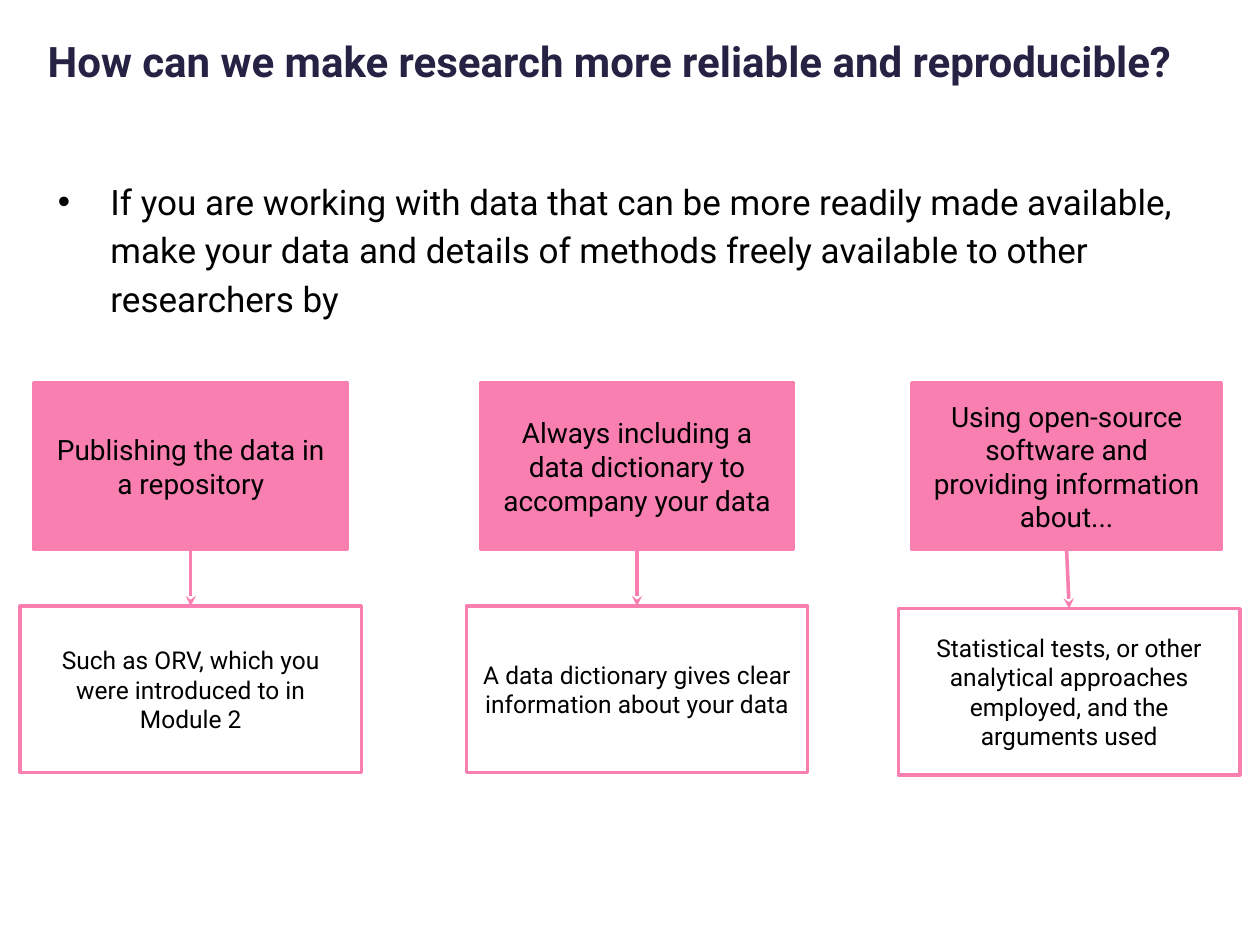
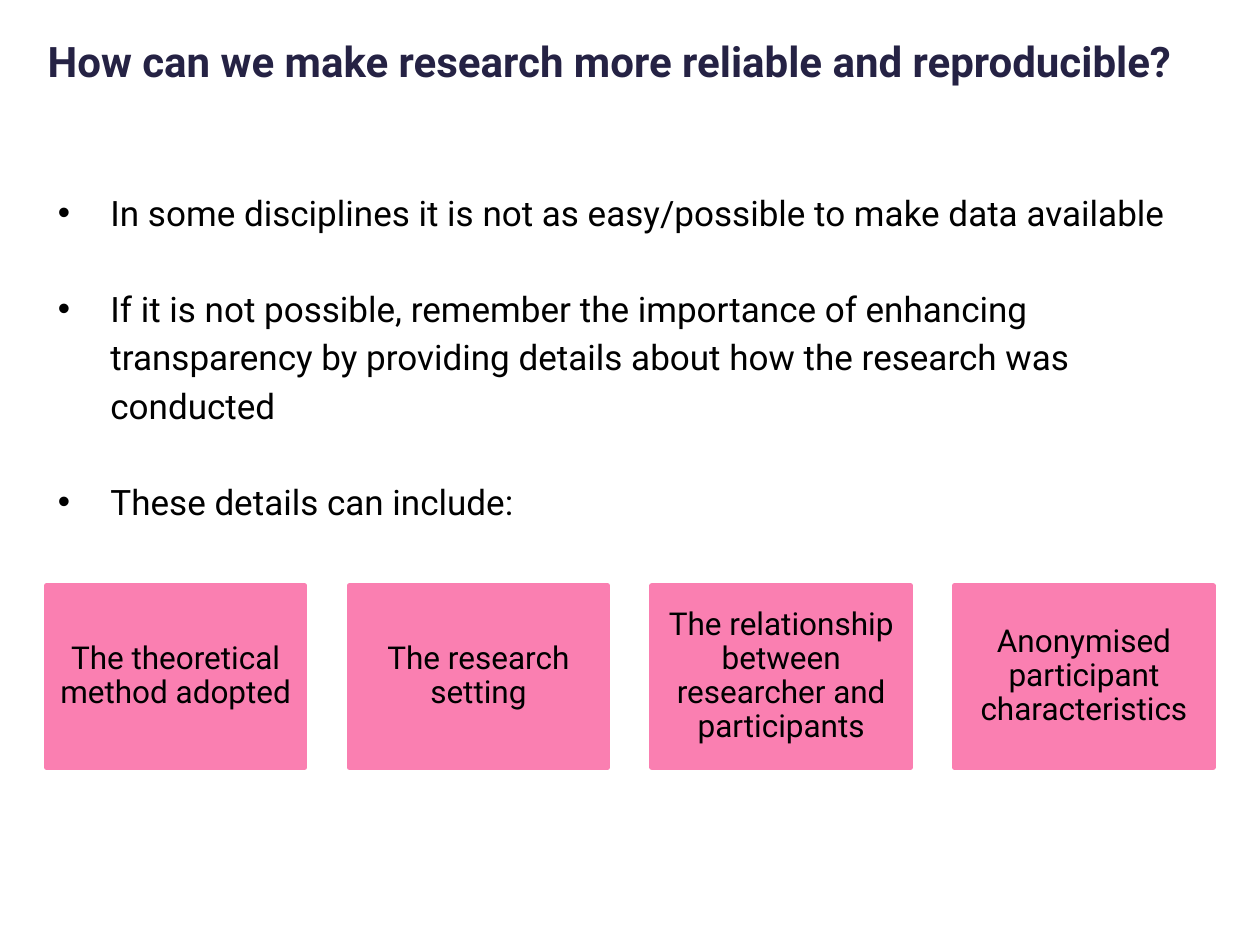
from dataclasses import dataclass

from pptx import Presentation
from pptx import util as u
from pptx.dml import color
from pptx.enum import shapes, text
from pptx.oxml import ns, xmlchemy

Pt = u.Pt


@dataclass(frozen=True)
class Theme:
    font: str = "Roboto"
    navy: str = "252244"
    black: str = "000000"
    pink: str = "FA7FB1"
    white: str = "FFFFFF"
    title_size: int = 24
    body_size: int = 20
    card_size: int = 18
    heading_size: int = 16
    detail_size: int = 14


THEME = Theme()
TITLE = "How can we make research more reliable and reproducible?"


def rgb(value):
    return color.RGBColor.from_string(value)


def add_xml(parent, tag, **attributes):
    child = xmlchemy.OxmlElement(tag)
    for name, value in attributes.items():
        child.set(name, value)
    parent.append(child)


def write(frame, content, size, ink=THEME.black, bold=False, spacing=1.0, gap=0,
          align=text.PP_ALIGN.LEFT, anchor=text.MSO_ANCHOR.TOP,
          inset=(7.2, 3.6), bullet=False):
    """Fill a text frame, one paragraph for each line of content."""
    frame.word_wrap = True
    frame.auto_size = text.MSO_AUTO_SIZE.NONE
    frame.vertical_anchor = anchor
    frame.margin_left = frame.margin_right = Pt(inset[0])
    frame.margin_top = frame.margin_bottom = Pt(inset[1])
    for index, line in enumerate(content.split("\n")):
        para = frame.add_paragraph() if index else frame.paragraphs[0]
        para.alignment = align
        para.line_spacing = spacing
        para.space_before, para.space_after = Pt(0), Pt(gap)
        if bullet:
            properties = para._p.get_or_add_pPr()
            properties.set("marL", str(Pt(36)))
            properties.set("indent", str(Pt(-30)))
            add_xml(properties, "a:buFont", typeface="Arial")
            add_xml(properties, "a:buChar", char="•")
        span = para.add_run()
        span.text = line
        span.font.name = THEME.font
        span.font.size = Pt(size)
        span.font.bold = bold
        span.font.color.rgb = rgb(ink)


class SlideBuilder:
    def __init__(self, deck, theme):
        self.deck = deck
        self.theme = theme
        self.page = None

    def start(self, title):
        """Open a title-only page on a plain background."""
        self.page = self.deck.slides.add_slide(self.deck.slide_layouts[5])
        background = self.page.background.fill
        background.solid()
        background.fore_color.rgb = rgb(self.theme.white)
        box = self.page.shapes.title
        box.left, box.top, box.width, box.height = map(Pt, (20, 20, 679, 63))
        write(box.text_frame, title, self.theme.title_size,
              ink=self.theme.navy, bold=True, spacing=0.9)

    def bullets(self, content, top, height, gap=0):
        box = self.page.shapes.add_textbox(Pt(20), Pt(top), Pt(691), Pt(height))
        write(box.text_frame, content, self.theme.body_size,
              spacing=1.15, gap=gap, bullet=True)

    def box(self, content, left, top, width, height, size, filled=True,
            outline=2, **text_format):
        box = self.page.shapes.add_shape(
            shapes.MSO_SHAPE.RECTANGLE, *map(Pt, (left, top, width, height)))
        box.shadow.inherit = False
        if filled:
            box.fill.solid()
            box.fill.fore_color.rgb = rgb(self.theme.pink)
        else:
            box.fill.background()
        box.line.color.rgb = rgb(self.theme.pink)
        box.line.width = Pt(outline)
        write(box.text_frame, content, size, align=text.PP_ALIGN.CENTER,
              anchor=text.MSO_ANCHOR.MIDDLE, **text_format)
        return box

    def arrow_down(self, upper, lower):
        """Join the bottom of one box to the top of another."""
        arrow = self.page.shapes.add_connector(
            shapes.MSO_CONNECTOR.STRAIGHT, 0, 0, 0, 0)
        arrow.begin_connect(upper, 2)
        arrow.end_connect(lower, 0)
        arrow.line.color.rgb = rgb(self.theme.pink)
        arrow.line.width = Pt(2)
        properties = arrow.element.spPr
        add_xml(properties.find(ns.qn("a:ln")), "a:tailEnd", type="stealth")
        add_xml(properties, "a:effectLst")


def build_open_data(builder):
    builder.start(TITLE)
    builder.bullets(
        "If you are working with data that can be more readily made available, "
        "make your data and details of methods freely available to other "
        "researchers by", top=96, height=136)

    # Each practice: heading, centre, width; then detail, centre, top
    practices = [
        ("Publishing the data in a repository", 109, 179,
         "Such as ORV, which you were introduced to in Module 2", 109, 346.4),
        ("Always including a data dictionary to accompany your data", 364, 179,
         "A data dictionary gives clear information about your data", 364, 346.4),
        ("Using open-source software and providing information about...", 609.5, 176.5,
         "Statistical tests, or other analytical approaches employed, "
         "and the arguments used", 611, 347.8),
    ]
    detail_width, height = 195, 95
    for heading, centre, width, detail, detail_centre, detail_top in practices:
        upper = builder.box(heading, centre - width / 2, 219, width, height,
                            THEME.heading_size)
        lower = builder.box(detail, detail_centre - detail_width / 2, detail_top,
                            detail_width, height, THEME.detail_size, filled=False)
        builder.arrow_down(upper, lower)


def build_restricted_data(builder):
    builder.start(TITLE)
    builder.bullets(
        "In some disciplines it is not as easy/possible to make data available\n"
        "If it is not possible, remember the importance of enhancing transparency "
        "by providing details about how the research was conducted\n"
        "These details can include:", top=102, height=251, gap=27.5)

    # Row of equally spaced cards
    details = [
        "The theoretical method adopted",
        "The research setting",
        "The relationship between researcher and participants",
        "Anonymised participant characteristics",
    ]
    for index, detail in enumerate(details):
        builder.box(detail, 26.6 + index * 173, 334.8, 147.6, 103.7,
                    THEME.card_size, outline=3, spacing=0.9, inset=(5.76, 5.76))


def main():
    deck = Presentation()
    deck.slide_width, deck.slide_height = Pt(720), Pt(540)
    builder = SlideBuilder(deck, THEME)
    build_open_data(builder)
    build_restricted_data(builder)
    deck.save("out.pptx")


if __name__ == "__main__":
    main()
